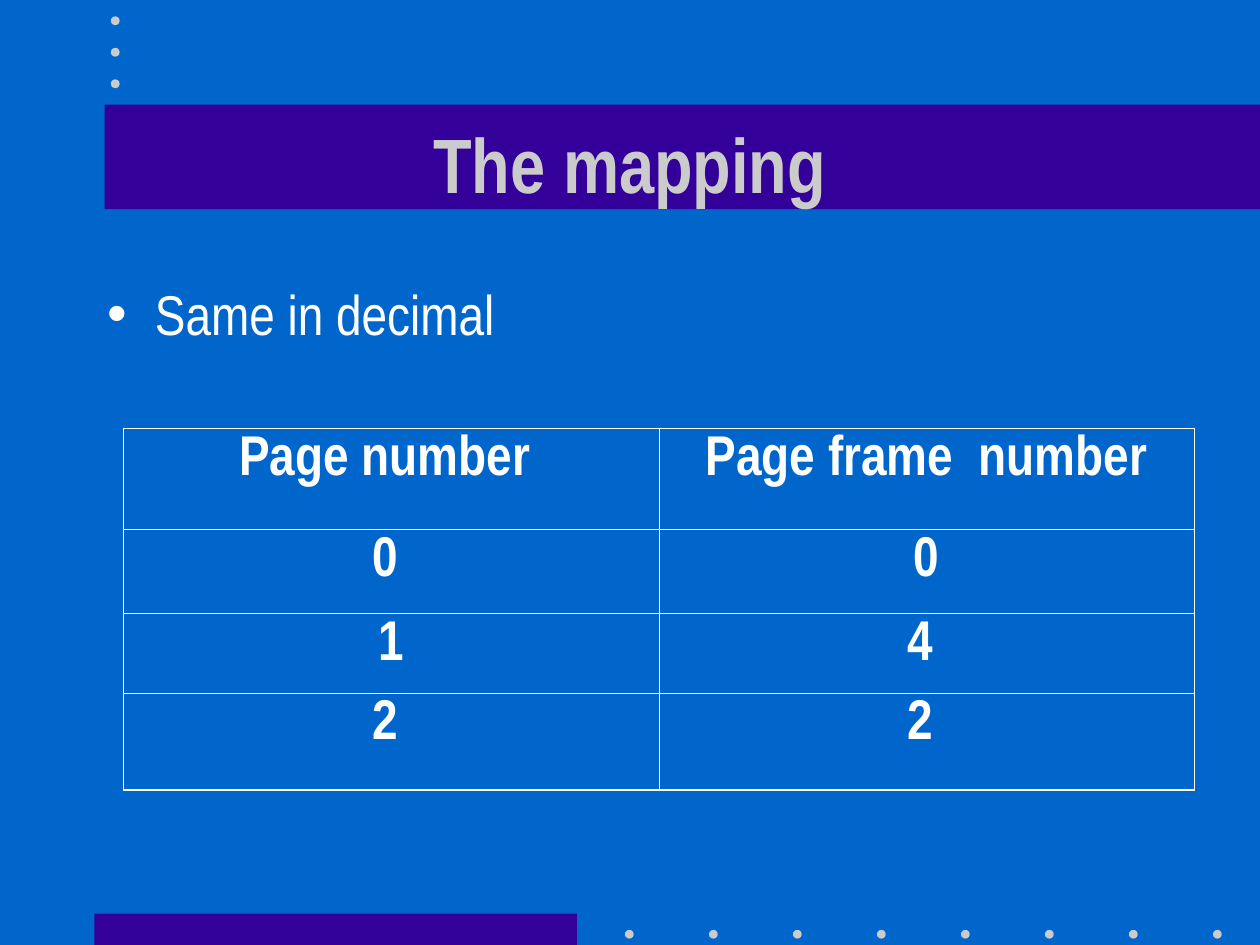
"""Build the slide showing the page-to-frame mapping in decimal."""
import dataclasses

import lxml.etree
import pptx
import pptx.dml.color
import pptx.enum.shapes
import pptx.enum.text
import pptx.oxml.ns
import pptx.util

Inches = pptx.util.Inches
Pt = pptx.util.Pt
RGB = pptx.dml.color.RGBColor.from_string
qn = pptx.oxml.ns.qn
SHAPE = pptx.enum.shapes.MSO_SHAPE
ALIGN = pptx.enum.text.PP_ALIGN
ANCHOR = pptx.enum.text.MSO_ANCHOR


@dataclasses.dataclass(frozen=True)
class Theme:
    font: str = "Arial Narrow"
    background: str = "0066CC"
    band: str = "330099"
    accent: str = "CBCBCB"
    text: str = "FFFFFF"
    title_size: int = 44
    body_size: int = 32
    outer_border: float = 1.08
    inner_border: float = 0.45


THEME = Theme()
TITLE = "The mapping"
POINT = "Same in decimal"
MAPPING = [
    ("Page number ", "Page frame  number"),
    ("0 ", "0"),
    ("1", "4 "),
    ("2 ", "2 "),
]
ROW_HEIGHTS = [0.8, 0.67, 0.63, 0.77]
COLUMN_WIDTH = 4.25
BANDS = [(0.75, 7.25, 3.83, 0.25), (0.83, 0.83, 9.17, 0.83)]
DOT = 0.07
DOTS = [(4.96 + i * 2 / 3, 7.38) for i in range(8)]
DOTS += [(0.88, 0.13 + i * 0.25) for i in range(3)]


def add_decoration(slide, preset, box, color):
    decoration = slide.shapes.add_shape(preset, *map(Inches, box))
    decoration.shadow.inherit = False
    decoration.fill.solid()
    decoration.fill.fore_color.rgb = RGB(color)
    decoration.line.fill.background()


def style(paragraph, size, color, bold, align):
    paragraph.alignment = align
    paragraph.font.name = THEME.font
    paragraph.font.size = Pt(size)
    paragraph.font.bold = bold
    paragraph.font.color.rgb = RGB(color)


def fill_placeholder(placeholder, text, box, anchor):
    placeholder.left, placeholder.top, placeholder.width, placeholder.height = map(Inches, box)
    frame = placeholder.text_frame
    frame.text = text
    frame.word_wrap = True
    frame.auto_size = pptx.enum.text.MSO_AUTO_SIZE.NONE
    frame.vertical_anchor = anchor
    paragraph = frame.paragraphs[0]
    paragraph.space_before = Pt(0)
    return paragraph


def add_bullet(paragraph):
    properties = paragraph._p.get_or_add_pPr()
    properties.set("marL", str(Inches(0.38)))
    properties.set("indent", str(-Inches(0.38)))
    bullet_color = lxml.etree.SubElement(properties, qn("a:buClr"))
    lxml.etree.SubElement(bullet_color, qn("a:srgbClr"), val=THEME.text)
    lxml.etree.SubElement(properties, qn("a:buChar"), char="•")


def set_borders(cell, outer_sides):
    properties = cell._tc.get_or_add_tcPr()
    for position, side in enumerate("LRTB"):
        width = THEME.outer_border if side in outer_sides else THEME.inner_border
        border = lxml.etree.Element(qn("a:ln" + side), w=str(Pt(width)))
        fill = lxml.etree.SubElement(border, qn("a:solidFill"))
        lxml.etree.SubElement(fill, qn("a:srgbClr"), val=THEME.text)
        properties.insert(position, border)


def add_mapping_table(slide):
    rows, columns = len(MAPPING), len(MAPPING[0])
    mapping = slide.shapes.add_table(
        rows, columns, Inches(0.98), Inches(3.4),
        Inches(columns * COLUMN_WIDTH), Inches(sum(ROW_HEIGHTS))).table
    mapping.first_row = mapping.horz_banding = False
    for column in mapping.columns:
        column.width = Inches(COLUMN_WIDTH)
    for r, (numbers, height) in enumerate(zip(MAPPING, ROW_HEIGHTS)):
        mapping.rows[r].height = Inches(height)
        for c, number in enumerate(numbers):
            cell = mapping.cell(r, c)
            cell.text = number
            cell.fill.background()
            style(cell.text_frame.paragraphs[0], THEME.body_size, THEME.text, True, ALIGN.CENTER)
            edges = {"L": c == 0, "R": c == columns - 1, "T": r == 0, "B": r == rows - 1}
            set_borders(cell, [side for side, outer in edges.items() if outer])


def main():
    deck = pptx.Presentation()
    deck.slide_width, deck.slide_height = Inches(10), Inches(7.5)
    slide = deck.slides.add_slide(deck.slide_layouts[1])
    slide.background.fill.solid()
    slide.background.fill.fore_color.rgb = RGB(THEME.background)
    title, body = slide.placeholders

    for box in BANDS:
        add_decoration(slide, SHAPE.RECTANGLE, box, THEME.band)
    for left, top in DOTS:
        add_decoration(slide, SHAPE.OVAL, (left, top, DOT, DOT), THEME.accent)
    for placeholder in (title, body):
        slide.shapes._spTree.append(placeholder._element)

    heading = fill_placeholder(title, TITLE, (0.75, 0.67, 8.5, 1.25), ANCHOR.MIDDLE)
    style(heading, THEME.title_size, THEME.accent, True, ALIGN.CENTER)
    point = fill_placeholder(body, POINT, (0.75, 2.17, 8.5, 4.5), ANCHOR.TOP)
    add_bullet(point)
    style(point, THEME.body_size, THEME.text, False, ALIGN.LEFT)
    add_mapping_table(slide)
    deck.save("out.pptx")


if __name__ == "__main__":
    main()
